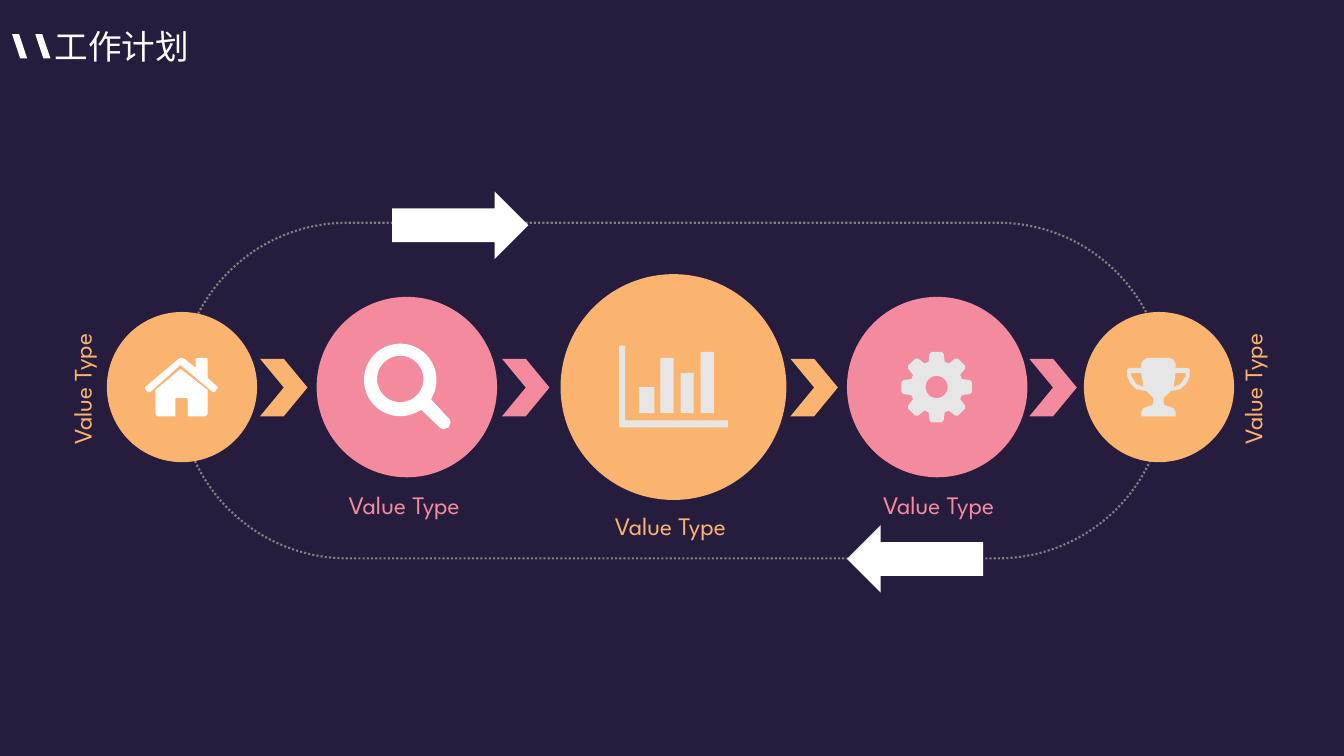
from math import cos, sin, radians

from pptx import Presentation
from pptx.dml.color import RGBColor
from pptx.enum.dml import MSO_LINE
from pptx.enum.shapes import MSO_SHAPE as Preset
from pptx.enum.text import MSO_ANCHOR as Anchor, MSO_AUTO_SIZE as AutoSize, PP_ALIGN as Align
from pptx.util import Inches, Pt

COLORS = {"night": "261C3E", "orange": "FAB470", "pink": "F38A9D",
          "white": "FFFFFF", "pale": "E7E6E6", "gray": "808080"}
FONT = "League Spartan"
MIDDLE = 3.84


def color(name):
    """Return the named colour."""
    return RGBColor.from_string(COLORS[name])


def assign(target, values):
    """Set every attribute in values on target."""
    for name, value in values.items():
        setattr(target, name, value)


def arc(x, y, radius, start=0, end=360, steps=48):
    """Return points along a circular arc, with angles in degrees."""
    angles = [radians(start + (end - start) * i / steps) for i in range(steps + 1)]
    return [(x + radius * cos(a), y + radius * sin(a)) for a in angles]


def rectangle(left, top, right, bottom):
    """Return the corners of a rectangle."""
    return [(left, top), (right, top), (right, bottom), (left, bottom)]


def house():
    """Return the roof and the walls of the house."""
    roof = [(2.13, 3.89), (2.11, 3.89), (1.79, 3.62), (1.49, 3.89), (1.46, 3.89),
            (1.44, 3.85), (1.44, 3.84), (1.77, 3.56), (1.8, 3.55), (1.83, 3.56),
            (1.94, 3.65), (1.94, 3.56), (1.96, 3.55), (2.05, 3.55), (2.06, 3.56),
            (2.06, 3.75), (2.16, 3.84), (2.16, 3.85)]
    walls = [(2.06, 4.1), (2.05, 4.12), (2.03, 4.13), (1.86, 4.13), (1.86, 3.95),
             (1.74, 3.95), (1.74, 4.13), (1.56, 4.13), (1.55, 4.12), (1.54, 4.1),
             (1.54, 3.87), (1.79, 3.66), (2.06, 3.87)]
    return [roof, walls]


def magnifier():
    """Return the rim with its handle, and the lens opening."""
    handle = [(4.35, 4.23), (4.37, 4.25), (4.4, 4.26), (4.45, 4.24),
              (4.47, 4.19), (4.46, 4.16), (4.44, 4.14)]
    return [arc(3.97, 3.77, 0.36, 32, -305) + handle, arc(3.97, 3.76, 0.23)]


def bars():
    """Return the axes and the four bars."""
    axes = [(7.22, 4.24), (6.14, 4.24), (6.14, 3.43), (6.2, 3.43), (6.2, 4.17), (7.22, 4.17)]
    spans = [(6.34, 3.84, 6.49), (6.55, 3.55, 6.68), (6.75, 3.7, 6.88), (6.95, 3.49, 7.08)]
    return [axes] + [rectangle(left, top, right, 4.1) for left, top, right in spans]


def gear():
    """Return eight teeth turned around the hub, and the hub opening."""
    x, y = 9.29, MIDDLE
    tooth = [(-0.08, -0.25), (-0.07, -0.33), (-0.05, -0.35),
             (0.05, -0.35), (0.07, -0.33), (0.08, -0.25)]
    turns = [radians(45 * i) for i in range(8)]
    rim = [(x + dx * cos(a) - dy * sin(a), y + dx * sin(a) + dy * cos(a))
           for a in turns for dx, dy in tooth]
    return [rim, arc(x, y, 0.11)]


def trophy():
    """Return the cup and its two handle openings, mirrored on the centre line."""
    center = 11.49
    half = [(0.11, 3.55), (0.15, 3.57), (0.17, 3.61), (0.17, 3.65), (0.28, 3.65),
            (0.31, 3.66), (0.31, 3.73), (0.28, 3.8), (0.22, 3.86), (0.12, 3.88),
            (0.08, 3.92), (0.05, 3.95), (0.05, 3.99), (0.06, 4.02), (0.1, 4.03),
            (0.15, 4.05), (0.17, 4.09), (0.17, 4.13)]
    opening = [(0.27, 3.7), (0.17, 3.7), (0.16, 3.77), (0.15, 3.84), (0.22, 3.81), (0.27, 3.73)]

    def side(points, sign):
        """Place the points on one side of the centre line."""
        return [(center + sign * dx, y) for dx, y in points]

    return [side(half, 1) + side(half[::-1], -1), side(opening, 1), side(opening, -1)]


class Page:
    """Holds the style and the current slide."""

    def __init__(self, deck):
        """Add a slide with a dark background."""
        self.slide = deck.slides.add_slide(deck.slide_layouts[5])
        self.shapes = self.slide.shapes
        self.slide.background.fill.solid()
        self.slide.background.fill.fore_color.rgb = color("night")

    def paint(self, shape, fill):
        """Give a shape a plain fill without line or shadow."""
        shape.shadow.inherit = False
        shape.fill.solid()
        shape.fill.fore_color.rgb = color(fill)
        shape.line.fill.background()
        return shape

    def add_words(self, box, text, size, fill, frame):
        """Put one styled paragraph in a box."""
        assign(box.text_frame, frame)
        para = box.text_frame.paragraphs[0]
        para.alignment = Align.LEFT if box.is_placeholder else Align.CENTER
        span = para.add_run()
        span.text = text
        assign(span.font, {"name": FONT, "size": Pt(size)})
        span.font.color.rgb = color(fill)

    def title(self, text, *place):
        """Move and fill the title placeholder."""
        box = self.shapes.title
        assign(box, dict(zip(("left", "top", "width", "height"), map(Inches, place))))
        self.add_words(box, text, 24, "white", {"vertical_anchor": Anchor.TOP, "word_wrap": True,
                                                "auto_size": AutoSize.SHAPE_TO_FIT_TEXT})

    def label(self, left, top, fill, rotation=0):
        """Add one value label."""
        box = self.shapes.add_textbox(*map(Inches, (left, top, 1.44, 0.3)))
        box.rotation = rotation
        frame = {f"margin_{side}": 0 for side in ("left", "top", "right", "bottom")}
        frame.update(vertical_anchor=Anchor.MIDDLE, word_wrap=False,
                     auto_size=AutoSize.SHAPE_TO_FIT_TEXT)
        self.add_words(box, "Value Type ", 18, fill, frame)

    def preset(self, kind, place, fill, rotation=0):
        """Add a filled preset shape."""
        shape = self.paint(self.shapes.add_shape(kind, *map(Inches, place)), fill)
        shape.rotation = rotation

    def outline(self, contours, fill):
        """Add one freeform made of closed contours."""
        paths = [[(Inches(x), Inches(y)) for x, y in points] for points in contours]
        builder = self.shapes.build_freeform(*paths[0][0])
        for number, points in enumerate(paths):
            if number:
                builder.move_to(*points[0])
            builder.add_line_segments(points[1:], close=True)
        self.paint(builder.convert_to_shape(), fill)

    def track(self, *place):
        """Add the dotted loop behind the steps."""
        loop = self.shapes.add_shape(Preset.ROUNDED_RECTANGLE, *map(Inches, place))
        loop.adjustments[0] = 0.5
        loop.shadow.inherit = False
        loop.fill.background()
        loop.line.color.rgb = color("gray")
        assign(loop.line, {"width": Pt(1.5), "dash_style": MSO_LINE.ROUND_DOT})


def main():
    """Build the work plan slide."""
    deck = Presentation()
    assign(deck, {"slide_width": Inches(13.33), "slide_height": Inches(7.5)})
    page = Page(deck)
    page.title("工作计划", 0.44, 0.21, 2.21, 0.5)
    page.outline([[(x, 0.34), (x + 0.07, 0.34), (x + 0.15, 0.58), (x + 0.08, 0.58)]
                  for x in (0.35, 0.12)], "white")
    page.track(1.78, 2.21, 9.78, 3.33)
    steps = [(1.06, 1.49, "orange", house, "white"), (3.14, 1.79, "pink", magnifier, "white"),
             (5.56, 2.24, "orange", bars, "pale"), (8.4, 1.79, "pink", gear, "pale"),
             (10.75, 1.49, "orange", trophy, "pale")]
    for left, size, fill, icon, icon_fill in steps:
        page.preset(Preset.OVAL, (left, MIDDLE - size / 2, size, size), fill)
        page.outline(icon(), icon_fill)
    for left, fill in ((2.58, "orange"), (4.98, "pink"), (7.84, "orange"), (10.21, "pink")):
        page.preset(Preset.CHEVRON, (left, 3.56, 0.47, 0.57), fill)
    for left, top, rotation in ((3.89, 1.9, 0), (8.4, 5.21, 180)):
        page.preset(Preset.RIGHT_ARROW, (left, top, 1.35, 0.67), "white", rotation)
    for label in ((3.32, 4.85, "pink"), (5.96, 5.06, "orange"), (0.09, 3.68, "orange", 270),
                  (11.7, 3.68, "orange", 270), (8.62, 4.85, "pink")):
        page.label(*label)
    deck.save("out.pptx")


if __name__ == "__main__":
    main()
